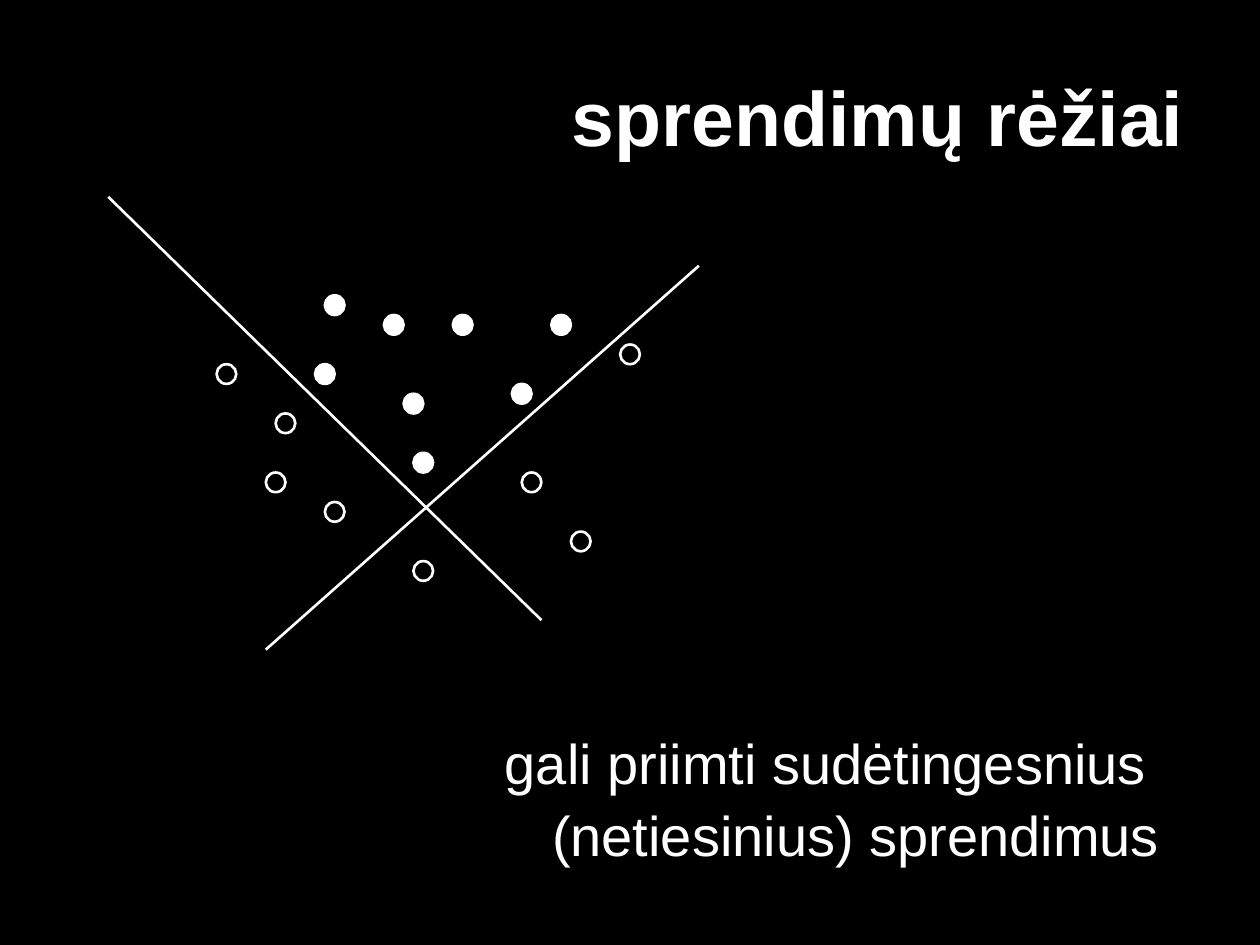
import pptx
import pptx.util
import pptx.dml.color
import pptx.enum.shapes
import pptx.enum.text
import pptx.oxml.xmlchemy

PX = 914400 / 128  # EMU per px, slide is 1280 x 960 px
COLORS = {"background": "000000", "ink": "FFFFFF"}
ALIGN = pptx.enum.text.PP_ALIGN
ANCHOR = pptx.enum.text.MSO_ANCHOR


def emu(px):
    return pptx.util.Emu(round(px * PX))


def color(name):
    return pptx.dml.color.RGBColor.from_string(COLORS[name])


def write(frame, text, size, bold=False, align=ALIGN.LEFT, anchor=ANCHOR.TOP,
          hanging=0, line_spacing=None):
    """Fill a text frame with one unbulleted paragraph; hanging is in px."""
    frame.word_wrap = True
    frame.auto_size = pptx.enum.text.MSO_AUTO_SIZE.NONE
    frame.vertical_anchor = anchor
    paragraph = frame.paragraphs[0]
    paragraph.alignment = align
    paragraph.line_spacing = line_spacing
    properties = paragraph._p.get_or_add_pPr()
    properties.set("marL", str(emu(hanging)))
    properties.set("indent", str(-emu(hanging)))
    properties.append(pptx.oxml.xmlchemy.OxmlElement("a:buNone"))
    run = paragraph.add_run()
    run.text = text
    run.font.name = "Arial"
    run.font.size = pptx.util.Pt(size)
    run.font.bold = bold
    run.font.color.rgb = color("ink")


class Board:
    """Holds the current slide and the drawing style."""

    line_width = pptx.util.Pt(1.5)
    point_size = 20

    def __init__(self, slide):
        self.slide = slide
        slide.background.fill.solid()
        slide.background.fill.fore_color.rgb = color("background")

    def placeholder(self, index, box, text, **text_format):
        holder = self.slide.placeholders[index]
        holder.left, holder.top, holder.width, holder.height = map(emu, box)
        write(holder.text_frame, text, **text_format)

    def outline(self, line):
        line.color.rgb = color("ink")
        line.width = self.line_width

    def point(self, left, top, filled):
        point = self.slide.shapes.add_shape(
            pptx.enum.shapes.MSO_SHAPE.OVAL, emu(left), emu(top),
            emu(self.point_size), emu(self.point_size))
        point.shadow.inherit = False
        if filled:
            point.fill.solid()
            point.fill.fore_color.rgb = color("ink")
        else:
            point.fill.background()
        self.outline(point.line)

    def boundary(self, *ends):
        boundary = self.slide.shapes.add_connector(
            pptx.enum.shapes.MSO_CONNECTOR.STRAIGHT, *map(emu, ends))
        self.outline(boundary.line)
        boundary._element.spPr.append(
            pptx.oxml.xmlchemy.OxmlElement("a:effectLst"))


def main():
    presentation = pptx.Presentation()
    presentation.slide_width, presentation.slide_height = emu(1280), emu(960)
    board = Board(presentation.slides.add_slide(presentation.slide_layouts[1]))

    board.placeholder(0, (64, 38, 1152, 160), "sprendimų rėžiai", size=44,
                      bold=True, align=ALIGN.RIGHT, anchor=ANCHOR.MIDDLE)
    board.placeholder(1, (500, 730, 700, 170),
                      "gali priimti sudėtingesnius (netiesinius) sprendimus",
                      size=32, hanging=48, line_spacing=1.06)

    inside = [(320, 370), (390, 320), (520, 390), (560, 320),
              (420, 460), (460, 320), (330, 300), (410, 400)]
    outside = [(330, 510), (280, 420), (420, 570), (530, 480),
               (630, 350), (580, 540), (270, 480), (220, 370)]
    for points, filled in ((inside, True), (outside, False)):
        for left, top in points:
            board.point(left, top, filled)

    board.boundary(110, 200, 550, 630)
    board.boundary(270, 660, 710, 270)

    presentation.save("out.pptx")


if __name__ == "__main__":
    main()
